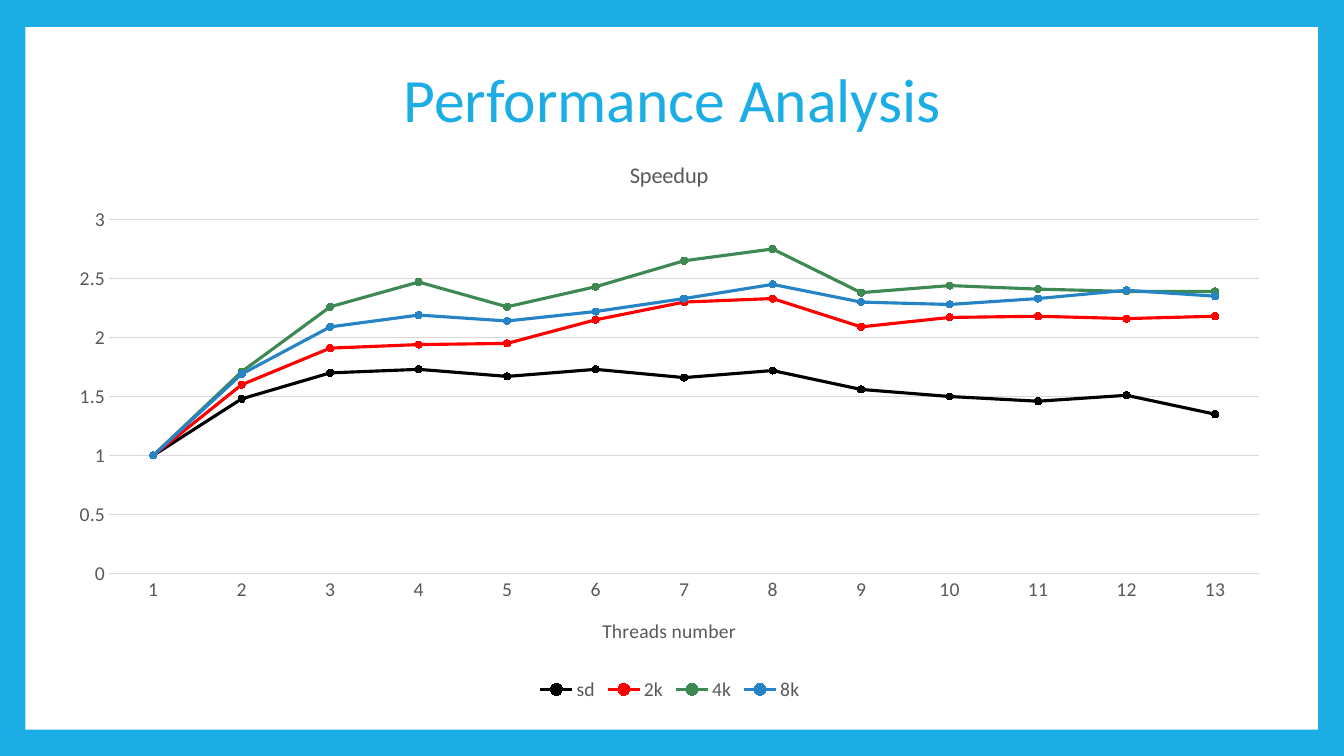
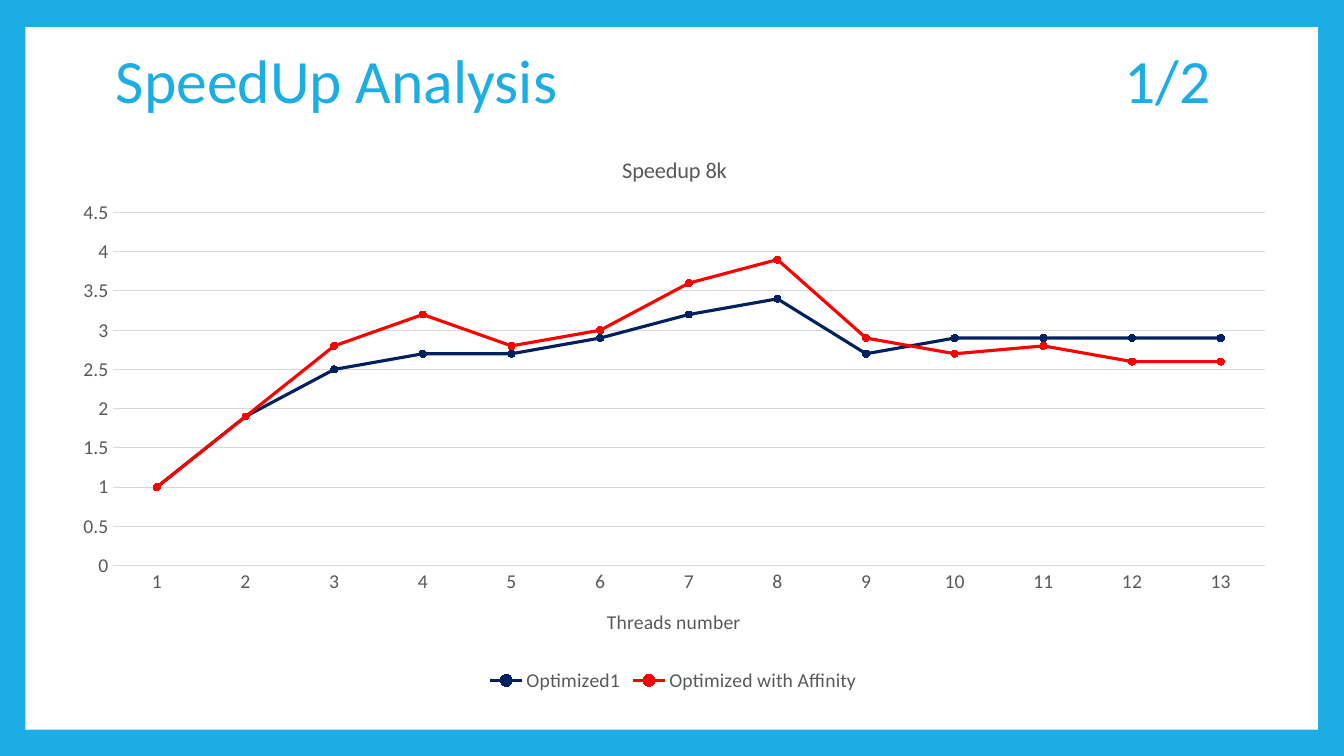
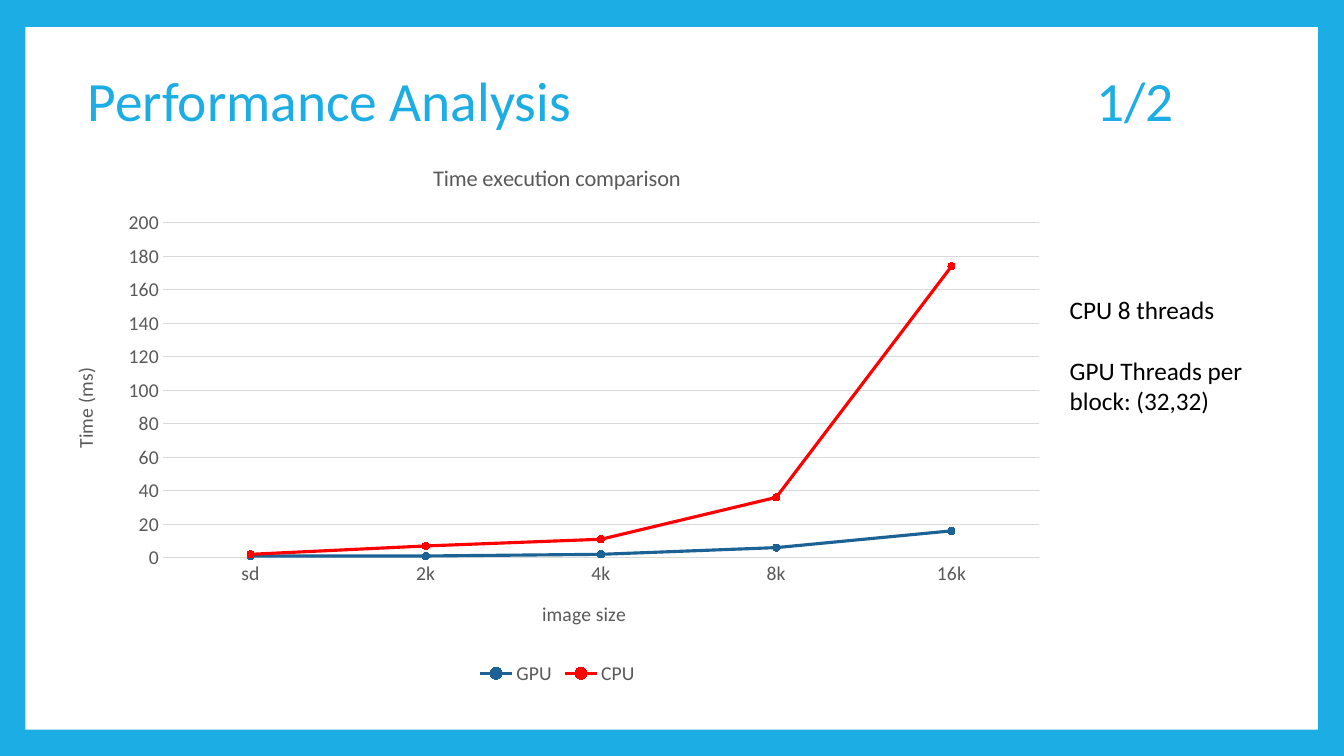
from dataclasses import dataclass
from typing import NamedTuple, Optional

from pptx import Presentation
from pptx.chart.axis import CategoryAxis, ValueAxis
from pptx.chart.chart import Chart
from pptx.chart.data import CategoryChartData
from pptx.dml.color import RGBColor
from pptx.enum.chart import XL_CHART_TYPE, XL_LEGEND_POSITION, XL_MARKER_STYLE, XL_TICK_MARK
from pptx.enum.shapes import MSO_SHAPE, PP_PLACEHOLDER
from pptx.enum.text import MSO_ANCHOR, MSO_AUTO_SIZE, PP_ALIGN
from pptx.oxml.ns import qn
from pptx.oxml.xmlchemy import OxmlElement
from pptx.slide import Slide
from pptx.text.text import Font, _Paragraph as Paragraph
from pptx.util import Inches, Pt

SLIDE_WIDTH = Inches(13.33)
SLIDE_HEIGHT = Inches(7.5)


@dataclass(frozen=True)
class Theme:
    font: str = "Calibri"
    accent: str = "1CADE4"
    paper: str = "FFFFFF"
    ink: str = "000000"
    chart_text: str = "595959"
    rule: str = "D9D9D9"
    red: str = "FF0000"
    green: str = "3E8853"
    blue: str = "2683C6"
    navy: str = "002060"
    steel: str = "1D6294"
    markers: tuple[str, ...] = ("1CADE4", "2683C6", "27CED7", "42BA97")
    title_size: float = 44
    small_title_size: float = 39.6
    body_size: float = 18
    chart_title_size: float = 16
    label_size: float = 14
    chart_size: float = 10
    series_width: float = 2.25
    rule_width: float = 0.75
    marker_size: int = 5


THEME = Theme()


class Area(NamedTuple):
    """Percentages of the slide, or of the chart that holds the area."""

    left: float
    top: float
    width: float
    height: float

    def on_slide(self) -> tuple[int, int, int, int]:
        return (
            round(SLIDE_WIDTH * self.left / 100),
            round(SLIDE_HEIGHT * self.top / 100),
            round(SLIDE_WIDTH * self.width / 100),
            round(SLIDE_HEIGHT * self.height / 100),
        )


class Spot(NamedTuple):
    left: float
    top: float


class Label(NamedTuple):
    text: str
    spot: Spot


class Series(NamedTuple):
    name: str
    color: str
    values: tuple[float, ...]


@dataclass(frozen=True)
class LineChart:
    area: Area
    plot: Area
    title: Label
    category_title: Label
    categories: tuple[str, ...]
    series: tuple[Series, ...]
    maximum: float
    step: float
    value_title: Optional[Label] = None


@dataclass(frozen=True)
class ChartSlide:
    title: str
    title_area: Area
    chart: LineChart
    page: str = ""
    title_size: float = THEME.title_size
    settings: tuple[str, ...] = ()


FRAME = Area(1.88, 3.6, 96.17, 92.93)
SETTINGS_AREA = Area(78.85, 38.27, 15.9, 21.6)
PAGE_TAB = Inches(10)
THREADS = tuple(str(count) for count in range(1, 14))

SLIDES = (
    ChartSlide(
        title="Performance Analysis",
        title_area=Area(9.53, 3.73, 81.02, 19.73),
        chart=LineChart(
            area=Area(4.13, 18.4, 91.45, 74.93),
            plot=Area(4.35, 14.2, 93.6, 62.5),
            title=Label("Speedup", Spot(46.4, 2.9)),
            category_title=Label("Threads number", Spot(44.2, 83.85)),
            categories=THREADS,
            series=(
                Series("sd", THEME.ink, (1, 1.48, 1.7, 1.73, 1.67, 1.73, 1.66, 1.72, 1.56, 1.5, 1.46, 1.51, 1.35)),
                Series("2k", THEME.red, (1, 1.6, 1.91, 1.94, 1.95, 2.15, 2.3, 2.33, 2.09, 2.17, 2.18, 2.16, 2.18)),
                Series("4k", THEME.green, (1, 1.71, 2.26, 2.47, 2.26, 2.43, 2.65, 2.75, 2.38, 2.44, 2.41, 2.39, 2.39)),
                Series("8k", THEME.blue, (1, 1.69, 2.09, 2.19, 2.14, 2.22, 2.33, 2.45, 2.3, 2.28, 2.33, 2.4, 2.35)),
            ),
            maximum=3,
            step=0.5,
        ),
    ),
    ChartSlide(
        title="SpeedUp Analysis",
        page="1/2",
        title_area=Area(7.88, 6.53, 88.07, 9.07),
        chart=LineChart(
            area=Area(4.35, 17.87, 91.52, 74.27),
            plot=Area(4.4, 13.8, 93.7, 62.9),
            title=Label("Speedup 8k", Spot(45.5, 2.8)),
            category_title=Label("Threads number", Spot(44.3, 83.7)),
            categories=THREADS,
            series=(
                Series("Optimized1", THEME.navy, (1, 1.9, 2.5, 2.7, 2.7, 2.9, 3.2, 3.4, 2.7, 2.9, 2.9, 2.9, 2.9)),
                Series("Optimized with Affinity", THEME.red, (1, 1.9, 2.8, 3.2, 2.8, 3, 3.6, 3.9, 2.9, 2.7, 2.8, 2.6, 2.6)),
            ),
            maximum=4.5,
            step=0.5,
        ),
    ),
    ChartSlide(
        title="Performance Analysis",
        page="1/2",
        title_area=Area(5.78, 8.93, 85.37, 9.47),
        title_size=THEME.small_title_size,
        chart=LineChart(
            area=Area(4.13, 18.93, 74.72, 72.27),
            plot=Area(10.7, 14.6, 87.25, 61.3),
            title=Label("Time execution comparison", Spot(37.2, 2.8)),
            category_title=Label("image size", Spot(48.1, 83.1)),
            value_title=Label("Time (ms)", Spot(1.25, 40.5)),
            categories=("sd", "2k", "4k", "8k", "16k"),
            series=(
                Series("GPU", THEME.steel, (1, 1, 2, 6, 16)),
                Series("CPU", THEME.red, (2, 7, 11, 36, 174)),
            ),
            maximum=200,
            step=20,
        ),
        settings=("CPU 8 threads", "GPU Threads per block: (32,32)"),
    ),
)


def style_font(font: Font, size: float, color: str) -> None:
    font.name = THEME.font
    font.size = Pt(size)
    font.bold = False
    font.color.rgb = RGBColor.from_string(color)


def add_run(paragraph: Paragraph, text: str, size: float, color: str) -> None:
    run = paragraph.add_run()
    run.text = text
    style_font(run.font, size, color)


def set_layout(parent, **values: float) -> None:
    for layout in parent.findall(qn("c:layout")):
        parent.remove(layout)
    layout = OxmlElement("c:layout")
    manual = OxmlElement("c:manualLayout")
    layout.append(manual)
    settings = {"xMode": "edge", "yMode": "edge"}
    if "w" in values:
        settings = {"layoutTarget": "inner", **settings}
    settings.update({name: f"{value / 100:.4f}" for name, value in values.items()})
    for name, value in settings.items():
        setting = OxmlElement(f"c:{name}")
        setting.set("val", value)
        manual.append(setting)
    text = parent.find(qn("c:tx"))
    parent.insert(0 if text is None else parent.index(text) + 1, layout)


def set_label(title, label: Label, size: float, upright: bool = False) -> None:
    add_run(title.text_frame.paragraphs[0], label.text, size, THEME.chart_text)
    set_layout(title.element, x=label.spot.left, y=label.spot.top)
    if upright:
        body = title.element.find(".//" + qn("a:bodyPr"))
        body.set("rot", "-5400000")
        body.set("vert", "horz")


def style_axis(axis: CategoryAxis | ValueAxis) -> None:
    axis.major_tick_mark = XL_TICK_MARK.NONE
    axis.minor_tick_mark = XL_TICK_MARK.NONE
    style_font(axis.tick_labels.font, THEME.label_size, THEME.chart_text)


def style_rule(line) -> None:
    line.width = Pt(THEME.rule_width)
    line.color.rgb = RGBColor.from_string(THEME.rule)


def style_axes(chart: Chart, content: LineChart) -> None:
    category_axis, value_axis = chart.category_axis, chart.value_axis
    for axis in (category_axis, value_axis):
        style_axis(axis)
    category_axis.has_major_gridlines = False
    style_rule(category_axis.format.line)
    set_label(category_axis.axis_title, content.category_title, THEME.label_size)

    value_axis.minimum_scale = 0
    value_axis.maximum_scale = content.maximum
    value_axis.major_unit = content.step
    value_axis.has_major_gridlines = True
    style_rule(value_axis.major_gridlines.format.line)
    value_axis.format.line.fill.background()
    if content.value_title:
        set_label(value_axis.axis_title, content.value_title, THEME.label_size, upright=True)


def style_series(chart: Chart, content: LineChart) -> None:
    plot = chart.plots[0]
    plot.vary_by_categories = False
    for series, source, marker_color in zip(plot.series, content.series, THEME.markers):
        series.smooth = False
        series.format.line.width = Pt(THEME.series_width)
        series.format.line.color.rgb = RGBColor.from_string(source.color)
        series.marker.style = XL_MARKER_STYLE.CIRCLE
        series.marker.size = THEME.marker_size
        series.marker.format.fill.solid()
        series.marker.format.fill.fore_color.rgb = RGBColor.from_string(marker_color)
        series.marker.format.line.color.rgb = RGBColor.from_string(source.color)


def add_line_chart(slide: Slide, content: LineChart) -> None:
    data = CategoryChartData()
    data.categories = content.categories
    for series in content.series:
        data.add_series(series.name, series.values)
    chart = slide.shapes.add_chart(
        XL_CHART_TYPE.LINE_MARKERS, *content.area.on_slide(), data
    ).chart
    style_font(chart.font, THEME.chart_size, THEME.ink)
    chart.has_title = True
    chart.chart_title.include_in_layout = False
    set_label(chart.chart_title, content.title, THEME.chart_title_size)
    chart.has_legend = True
    chart.legend.position = XL_LEGEND_POSITION.BOTTOM
    chart.legend.include_in_layout = False
    style_font(chart.legend.font, THEME.label_size, THEME.chart_text)
    style_axes(chart, content)
    style_series(chart, content)
    plot = content.plot
    set_layout(
        chart.element.find(".//" + qn("c:plotArea")),
        x=plot.left, y=plot.top, w=plot.width, h=plot.height,
    )


def add_page_tab(paragraph: Paragraph) -> None:
    tabs = OxmlElement("a:tabLst")
    tab = OxmlElement("a:tab")
    tab.set("pos", str(PAGE_TAB))
    tab.set("algn", "l")
    tabs.append(tab)
    paragraph._p.get_or_add_pPr().append(tabs)


def set_title(slide: Slide, content: ChartSlide) -> None:
    title = slide.shapes.title
    title.left, title.top, title.width, title.height = content.title_area.on_slide()
    frame = title.text_frame
    frame.auto_size = MSO_AUTO_SIZE.NONE
    frame.vertical_anchor = MSO_ANCHOR.MIDDLE
    paragraph = frame.paragraphs[0]
    paragraph.line_spacing = 0.9
    paragraph.alignment = PP_ALIGN.LEFT if content.page else PP_ALIGN.CENTER
    add_run(paragraph, content.title, content.title_size, THEME.accent)
    if content.page:
        add_page_tab(paragraph)
        add_run(paragraph, f"\t{content.page}", content.title_size, THEME.accent)


def add_settings(slide: Slide, settings: tuple[str, ...]) -> None:
    frame = slide.shapes.add_textbox(*SETTINGS_AREA.on_slide()).text_frame
    frame.word_wrap = True
    for index, setting in enumerate(settings):
        paragraph = frame.add_paragraph() if index else frame.paragraphs[0]
        if index:
            paragraph.space_before = Pt(22)
        add_run(paragraph, setting, THEME.body_size, THEME.ink)


def keep_title_only(presentation, title_only) -> None:
    for layout in list(presentation.slide_layouts):
        if layout is not title_only and layout.name != title_only.name:
            presentation.slide_layouts.remove(layout)
    for parent in (presentation.slide_master, title_only):
        for placeholder in list(parent.placeholders):
            if placeholder.placeholder_format.type != PP_PLACEHOLDER.TITLE:
                parent.shapes.element.remove(placeholder.element)


def set_master(presentation, slide: Slide) -> None:
    master = presentation.slide_master
    master.background.fill.solid()
    master.background.fill.fore_color.rgb = RGBColor.from_string(THEME.accent)
    frame = slide.shapes.add_shape(MSO_SHAPE.RECTANGLE, *FRAME.on_slide())
    frame.shadow.inherit = False
    frame.fill.solid()
    frame.fill.fore_color.rgb = RGBColor.from_string(THEME.paper)
    frame.line.fill.background()
    frame.element.find(".//" + qn("p:cNvPr")).set("id", "20")
    frame.element.remove(frame.element.find(qn("p:txBody")))
    master.shapes.element.insert(2, frame.element)


def main() -> None:
    presentation = Presentation()
    presentation.slide_width = SLIDE_WIDTH
    presentation.slide_height = SLIDE_HEIGHT
    title_only = presentation.slide_layouts[5]
    keep_title_only(presentation, title_only)
    for index, content in enumerate(SLIDES):
        slide = presentation.slides.add_slide(title_only)
        if index == 0:
            set_master(presentation, slide)
        set_title(slide, content)
        if content.settings:
            add_settings(slide, content.settings)
        add_line_chart(slide, content.chart)
    presentation.save("out.pptx")


if __name__ == "__main__":
    main()
